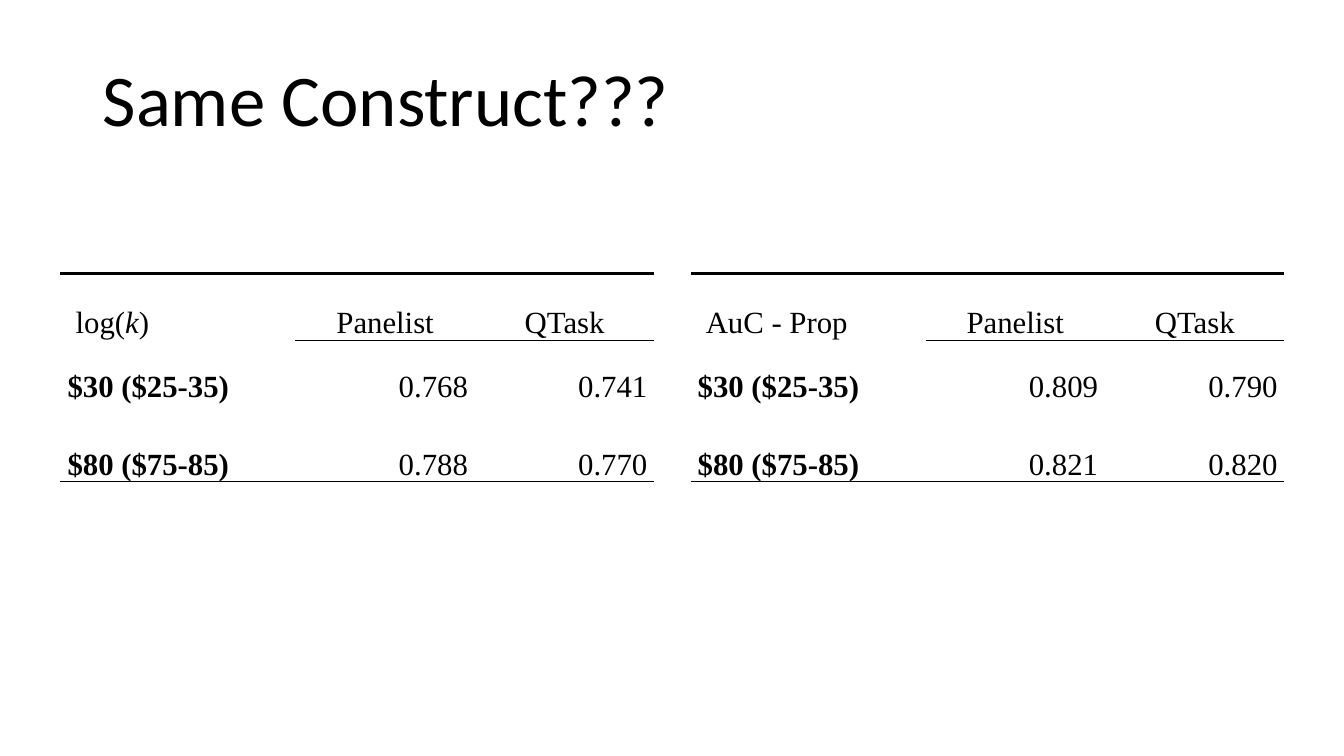
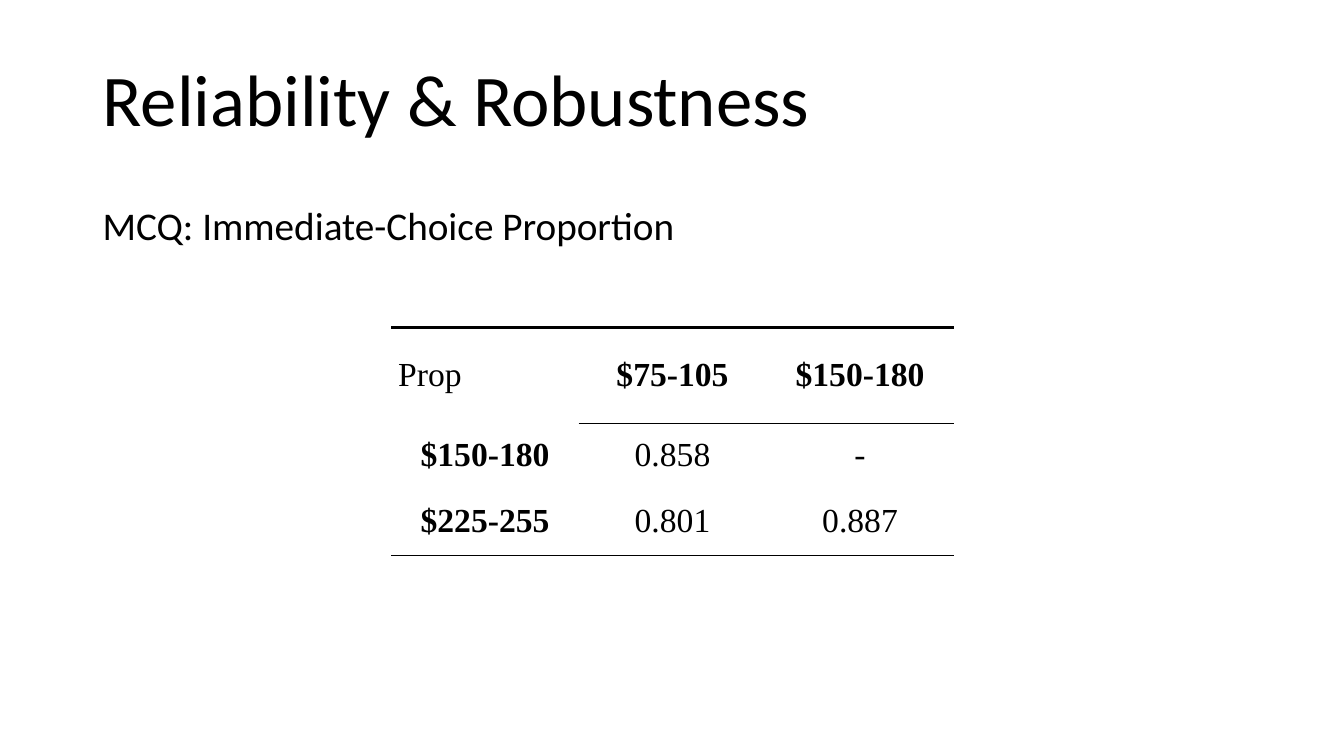
"""Build two slides comparing reliability coefficients in ruled tables."""
import dataclasses

import pptx
import pptx.dml.color
import pptx.enum.text
import pptx.oxml
import pptx.oxml.ns
import pptx.util

Inches = pptx.util.Inches
Pt = pptx.util.Pt
ALIGN = pptx.enum.text.PP_ALIGN
ANCHOR = pptx.enum.text.MSO_ANCHOR


@dataclasses.dataclass(frozen=True)
class Theme:
    ink: str = "000000"
    heading_font: str = "Calibri"
    table_font: str = "Times New Roman"
    title_size: int = 52
    subtitle_size: int = 28
    thick_rule: float = 2.25
    thin_rule: float = 1
    cell_margin: float = 0.07


THEME = Theme()

CONSTRUCT_STYLE = dict(
    top=2.71, columns=(2.33, 1.78, 1.78), heights=(0.67, 0.63, 0.77), size=22,
    anchor=ANCHOR.BOTTOM, label_align=ALIGN.LEFT, value_align=ALIGN.RIGHT,
    bold_header=False, corner_indent=0.08)
RELIABILITY_STYLE = dict(
    top=3.25, columns=(1.86, 1.86, 1.86), heights=(0.95, 0.64, 0.67), size=24,
    anchor=ANCHOR.MIDDLE, label_align=ALIGN.CENTER, value_align=ALIGN.CENTER,
    bold_header=True, corner_indent=0)

SLIDES = [
    dict(title="Same Construct???", subtitle=None, style=CONSTRUCT_STYLE, tables=[
        (0.6, [("log(*k*)", "Panelist", "QTask"),
               ("$30 ($25-35)", "0.768", "0.741"),
               ("$80 ($75-85)", "0.788", "0.770")]),
        (6.85, [("AuC - Prop", "Panelist", "QTask"),
                ("$30 ($25-35)", "0.809", "0.790"),
                ("$80 ($75-85)", "0.821", "0.820")]),
    ]),
    dict(title="Reliability & Robustness", subtitle="MCQ: Immediate-Choice Proportion",
         style=RELIABILITY_STYLE, tables=[
        (3.88, [("Prop", "$75-105", "$150-180"),
                ("$150-180", "0.858", "-"),
                ("$225-255", "0.801", "0.887")]),
    ]),
]


def write(frame, text, *, font, size, bold=False, align=ALIGN.LEFT, line_spacing=1.0):
    """Fill a frame with one paragraph; words between asterisks are italic."""
    paragraph = frame.paragraphs[0]
    paragraph.alignment = align
    paragraph.line_spacing = line_spacing
    for position, piece in enumerate(text.split("*")):
        run = paragraph.add_run()
        run.text = piece
        run.font.name = font
        run.font.size = Pt(size)
        run.font.bold = bold
        run.font.italic = position % 2 == 1
        run.font.color.rgb = pptx.dml.color.RGBColor.from_string(THEME.ink)


def add_heading(slide, text, top, height, size, anchor):
    """Add a line of heading text across the content width."""
    frame = slide.shapes.add_textbox(
        Inches(0.92), Inches(top), Inches(11.5), Inches(height)).text_frame
    frame.word_wrap = True
    frame.vertical_anchor = anchor
    write(frame, text, font=THEME.heading_font, size=size, line_spacing=0.9)


def set_rules(cell, top, bottom):
    """Draw the top and bottom rules of a cell; a width of 0 means none."""
    properties = cell._tc.get_or_add_tcPr()
    for side, width in (("L", 0), ("R", 0), ("T", top), ("B", bottom)):
        paint = (f'<a:solidFill><a:srgbClr val="{THEME.ink}"/></a:solidFill>'
                 if width else "<a:noFill/>")
        properties.append(pptx.oxml.parse_xml(
            f'<a:ln{side} {pptx.oxml.ns.nsdecls("a")} w="{int(Pt(width))}">{paint}</a:ln{side}>'))


def add_ruled_table(slide, left, rows, style):
    """Add a table with a thick top rule and thin header and bottom rules."""
    columns, heights = style["columns"], style["heights"]
    table = slide.shapes.add_table(
        len(rows), len(columns), Inches(left), Inches(style["top"]),
        Inches(sum(columns)), Inches(sum(heights))).table
    table.first_row = table.horz_banding = False
    for column, width in zip(table.columns, columns):
        column.width = Inches(width)
    for row, height in zip(table.rows, heights):
        row.height = Inches(height)

    for r, values in enumerate(rows):
        for c, value in enumerate(values):
            cell = table.cell(r, c)
            is_header, is_label = r == 0, c == 0
            is_corner = is_header and is_label
            header_rule = 0 if is_label else THEME.thin_rule
            top = (THEME.thick_rule, header_rule)[r] if r < 2 else 0
            bottom = header_rule if is_header else 0
            if r == len(rows) - 1:
                bottom = THEME.thin_rule
            set_rules(cell, top, bottom)
            cell.fill.background()

            indent = style["corner_indent"] if is_corner else 0
            cell.margin_left = Inches(THEME.cell_margin + indent)
            cell.margin_right = Inches(THEME.cell_margin)
            cell.margin_top = cell.margin_bottom = 0
            cell.vertical_anchor = style["anchor"]
            if is_corner:
                align, bold = ALIGN.LEFT, False
            elif is_header:
                align, bold = ALIGN.CENTER, style["bold_header"]
            elif is_label:
                align, bold = style["label_align"], True
            else:
                align, bold = style["value_align"], False
            write(cell.text_frame, value, font=THEME.table_font, size=style["size"],
                  bold=bold, align=align)


def main():
    deck = pptx.Presentation()
    deck.slide_width, deck.slide_height = Inches(13.33), Inches(7.5)
    for content in SLIDES:
        slide = deck.slides.add_slide(deck.slide_layouts[6])
        add_heading(slide, content["title"], 0.2, 1.65, THEME.title_size, ANCHOR.MIDDLE)
        if content["subtitle"]:
            add_heading(slide, content["subtitle"], 2, 0.6, THEME.subtitle_size, ANCHOR.TOP)
        for left, rows in content["tables"]:
            add_ruled_table(slide, left, rows, content["style"])
    deck.save("out.pptx")


if __name__ == "__main__":
    main()
